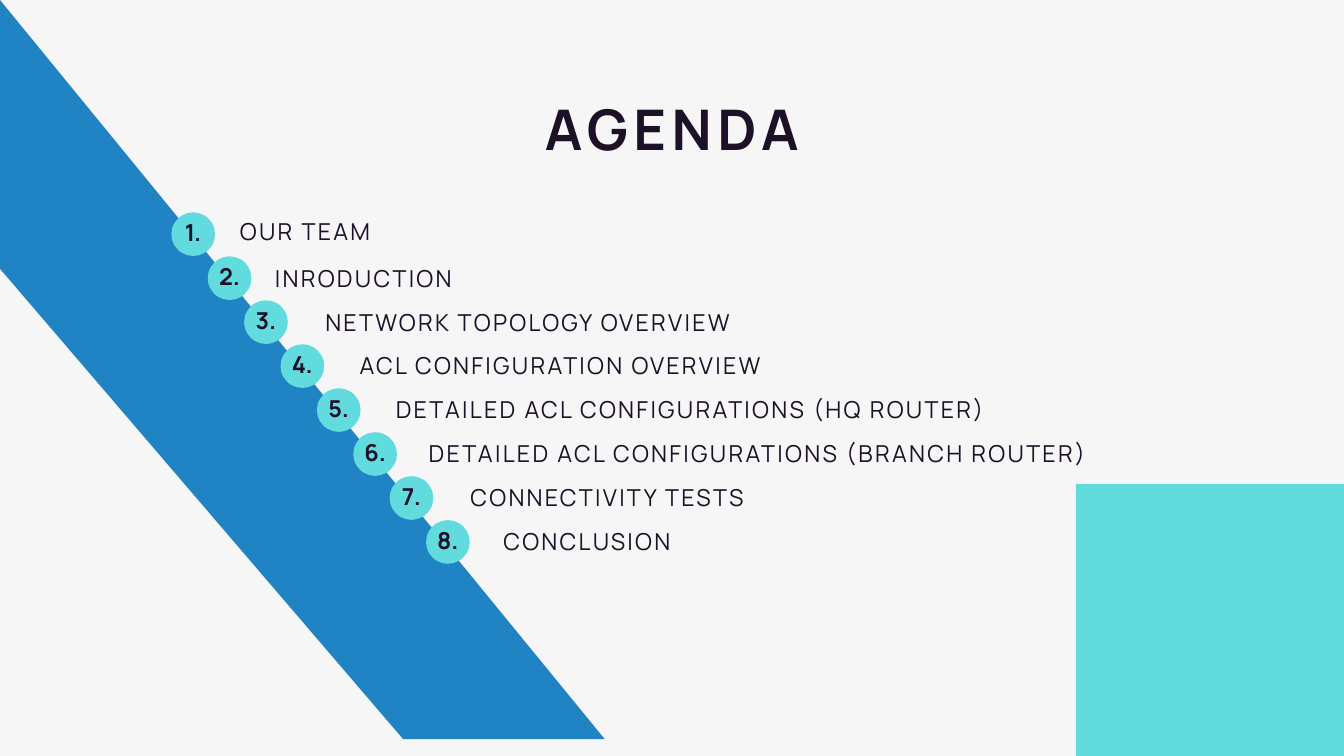
from pptx import Presentation
from pptx.dml.color import RGBColor
from pptx.enum.shapes import MSO_SHAPE
from pptx.enum.text import MSO_AUTO_SIZE, PP_ALIGN
from pptx.util import Inches, Pt

# Content: agenda label, left edge, width, vertical nudge (inches)
TITLE = "AGENDA"
AGENDA = [
    ("OUR TEAM", 3.57, 5.16, -0.04),
    ("INRODUCTION", 4.09, 5.16, 0.01),
    ("NETWORK TOPOLOGY OVERVIEW", 4.84, 7.31, 0),
    ("ACL CONFIGURATION OVERVIEW", 5.35, 7.02, 0),
    ("DETAILED ACL CONFIGURATIONS (HQ ROUTER)", 5.89, 11.07, 0),
    ("DETAILED ACL CONFIGURATIONS (BRANCH ROUTER)", 6.38, 10.58, 0),
    ("CONNECTIVITY TESTS", 7.0, 5.16, 0),
    ("CONCLUSION", 7.49, 5.16, 0),
]

THEME = {
    "font": "Manrope",
    "paper": RGBColor.from_string("F6F6F6"),
    "band": RGBColor.from_string("2083C4"),
    "accent": RGBColor.from_string("62DBDF"),
    "ink": RGBColor.from_string("1D1127"),
    # size, line height, letter spacing (points), bold, alignment
    "title": (60, 72, 6, True, PP_ALIGN.CENTER),
    "label": (25, 30, 2.5, False, PP_ALIGN.LEFT),
    "number": (25, 30, 0, True, PP_ALIGN.CENTER),
}

# Geometry in inches
WIDTH, HEIGHT = 20, 11.25
BAND = [(0, 0), (9.34, HEIGHT), (5.98, HEIGHT), (0, 4.03)]
CORNER = (16.01, 7.2)
DOT = 0.65
FIRST_DOT, LAST_DOT = (2.55, 3.16), (6.34, 7.74)
NUMBER_SIZE = (0.73, 0.44)
NUMBER_DROP, LABEL_DROP, LABEL_HEIGHT = 0.09, 0.11, 0.42


def paint(shape, color):
    shape.shadow.inherit = False
    shape.fill.solid()
    shape.fill.fore_color.rgb = color
    shape.line.fill.background()


def add_block(slide, preset, box, color):
    paint(slide.shapes.add_shape(preset, *map(Inches, box)), color)


def add_text(slide, words, box, role):
    size, leading, tracking, bold, align = THEME[role]
    frame = slide.shapes.add_textbox(*map(Inches, box)).text_frame
    line = frame.paragraphs[0]
    run = line.add_run()
    run.text = words
    formats = [
        (frame, {"word_wrap": True, "auto_size": MSO_AUTO_SIZE.SHAPE_TO_FIT_TEXT,
                 "margin_left": 0, "margin_right": 0,
                 "margin_top": 0, "margin_bottom": 0}),
        (line, {"alignment": align, "line_spacing": Pt(leading)}),
        (run.font, {"name": THEME["font"], "size": Pt(size), "bold": bold}),
    ]
    for target, values in formats:
        for key, value in values.items():
            setattr(target, key, value)
    run.font.color.rgb = THEME["ink"]
    if tracking:
        run.font._element.set("spc", str(int(tracking * 100)))


def main():
    deck = Presentation()
    deck.slide_width, deck.slide_height = Inches(WIDTH), Inches(HEIGHT)
    slide = deck.slides.add_slide(deck.slide_layouts[6])
    slide.background.fill.solid()
    slide.background.fill.fore_color.rgb = THEME["paper"]

    # Diagonal band and corner block
    outline = slide.shapes.build_freeform(*BAND[0], scale=Inches(1))
    outline.add_line_segments(BAND[1:], close=True)
    paint(outline.convert_to_shape(), THEME["band"])
    left, top = CORNER
    add_block(slide, MSO_SHAPE.RECTANGLE,
              (left, top, WIDTH - left, HEIGHT - top), THEME["accent"])

    # Title
    add_text(slide, TITLE, (1.58, 1.41, 16.84, 1.01), "title")

    # Numbered dots evenly spaced down the band's edge, each with its label
    step_x, step_y = ((end - start) / (len(AGENDA) - 1)
                      for start, end in zip(FIRST_DOT, LAST_DOT))
    number_width, number_height = NUMBER_SIZE
    for row, (label, label_left, label_width, nudge) in enumerate(AGENDA):
        x, y = FIRST_DOT[0] + row * step_x, FIRST_DOT[1] + row * step_y
        add_block(slide, MSO_SHAPE.OVAL, (x, y, DOT, DOT), THEME["accent"])
        add_text(slide, f"{row + 1}.",
                 (x + (DOT - number_width) / 2, y + NUMBER_DROP,
                  number_width, number_height), "number")
        add_text(slide, label,
                 (label_left, y + LABEL_DROP + nudge,
                  label_width, LABEL_HEIGHT), "label")

    deck.save("out.pptx")


if __name__ == "__main__":
    main()
